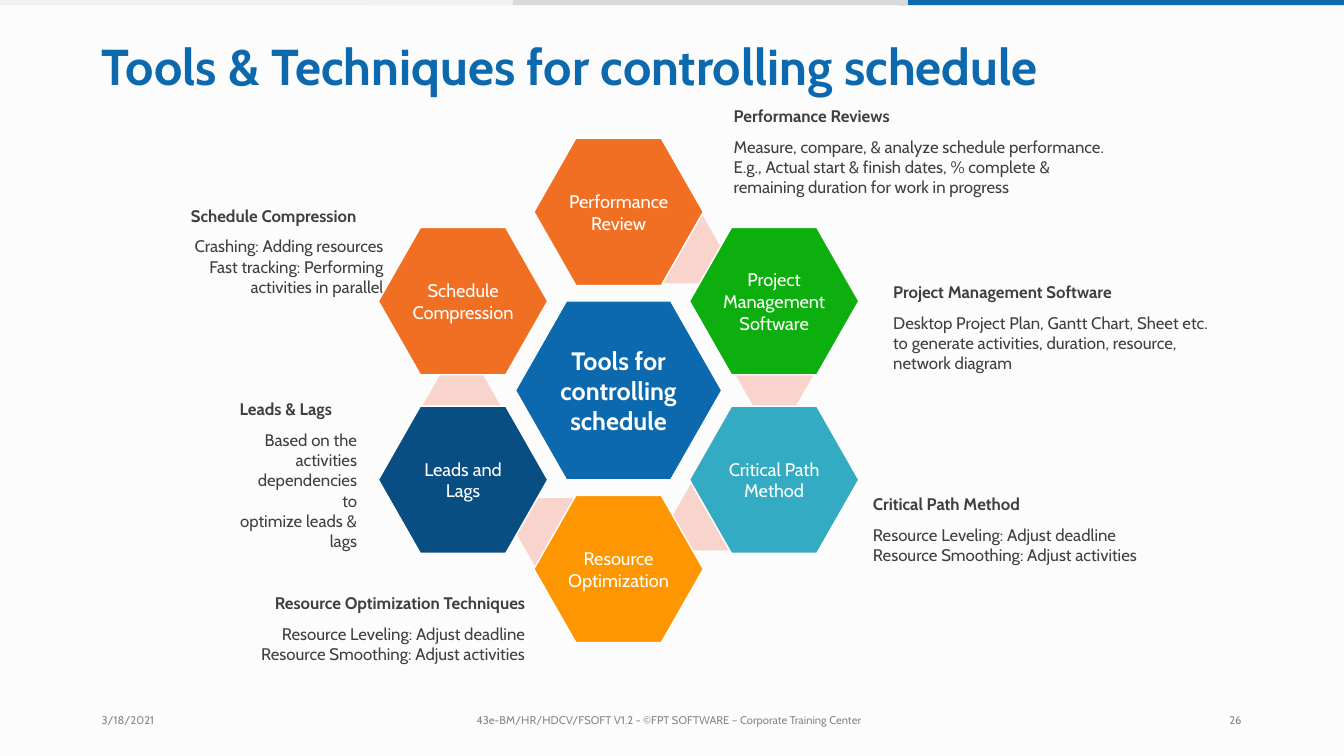
"""Build the slide on tools and techniques for controlling a schedule."""
from pptx import Presentation
from pptx.dml.color import RGBColor
from pptx.enum.shapes import MSO_SHAPE
from pptx.enum.text import MSO_ANCHOR, PP_ALIGN
from pptx.util import Cm, Pt

FONT = "Cabin"
COLORS = {
    "page": "FCFCFC", "blue": "0D69AE", "gray": "D9D9D9", "light": "F1F1F1",
    "white": "FFFFFF", "text": "404040", "footer": "888888", "pink": "F9D4CC",
    "orange": "F16F22", "green": "0DAF0E", "teal": "33ABC3",
    "amber": "FD9600", "navy": "094E83",
}
LEFT, RIGHT, CENTER = PP_ALIGN.LEFT, PP_ALIGN.RIGHT, PP_ALIGN.CENTER

TITLE = "Tools & Techniques for controlling schedule"
STRIPS = [("blue", 22.65, 11.22), ("gray", 9.25, 13.63), ("light", 0, 12.93)]

HUB = (15.59, 9.84)
HUB_SIZE, TOOL_SIZE, LINK_SIZE = (5.2, 4.51), (4.27, 3.71), (1.96, 1.7)
COLUMN_STEP, ROW_STEP = 3.92, 2.25
HUB_LABEL = "Tools for\vcontrolling\vschedule"

# label, colour, column and row step from the hub, centre of the link
TOOLS = [
    ("Performance\vReview", "orange", 0, -2, (17.22, 6.29)),
    ("Project\vManagement\vSoftware", "green", 1, -1, (19.52, 9.45)),
    ("Critical Path\vMethod", "teal", 1, 1, (17.92, 13.02)),
    ("Resource\vOptimization", "amber", 0, 2, (13.97, 13.4)),
    ("Leads and\vLags", "navy", -1, 1, (11.63, 10.22)),
    ("Schedule\vCompression", "orange", -1, -1, None),
]

# left, top, width, height, heading alignment, body alignment, heading, body
NOTES = [
    (18.49, 2.67, 9.6, 2.33, LEFT, LEFT, "Performance Reviews",
     ["Measure, compare, & analyze schedule performance. E.g., Actual start & "
      "finish dates, % complete & remaining duration for work in progress"]),
    (22.51, 7.11, 8.4, 2.31, LEFT, LEFT, "Project Management Software",
     ["Desktop Project Plan, Gantt Chart, Sheet etc. to generate activities, "
      "duration, resource, network diagram"]),
    (6.22, 14.94, 7.02, 1.8, RIGHT, RIGHT, "Resource Optimization Techniques",
     ["Resource Leveling: Adjust deadline",
      "Resource Smoothing: Adjust activities"]),
    (6.04, 10.06, 2.96, 3.8, LEFT, RIGHT, "Leads & Lags",
     ["Based on the\vactivities\vdependencies\vto",
      "optimize leads &\vlags"]),
    (22, 12.45, 7.04, 1.8, LEFT, LEFT, "Critical Path Method",
     ["Resource Leveling: Adjust deadline",
      "Resource Smoothing: Adjust activities"]),
    (4.81, 5.18, 4.86, 2.31, LEFT, RIGHT, "Schedule Compression",
     ["Crashing: Adding resources",
      "Fast tracking: Performing\vactivities in parallel"]),
]

FOOTERS = [
    (2.56, 1.8, "3/18/2021"),
    (12.01, 10.2, "43e-BM/HR/HDCV/FSOFT V1.2 - ©FPT SOFTWARE – "
                  "Corporate Training Center"),
    (30.98, 0.8, "26"),
]


def rgb(name):
    return RGBColor.from_string(COLORS[name])


def set_font(p, size, color, bold=False, align=LEFT):
    p.alignment = align
    p.font.name, p.font.size, p.font.bold = FONT, Pt(size), bold
    p.font.color.rgb = rgb(color)


def clear_margins(tf):
    tf.margin_left = tf.margin_top = tf.margin_right = tf.margin_bottom = 0


def add_text(s, left, top, width, height, text, size, color, **style):
    tf = s.shapes.add_textbox(Cm(left), Cm(top), Cm(width), Cm(height)).text_frame
    tf.word_wrap = True
    clear_margins(tf)
    tf.text = text
    set_font(tf.paragraphs[0], size, color, **style)
    return tf


def add_filled(s, kind, left, top, width, height, color):
    sp = s.shapes.add_shape(kind, Cm(left), Cm(top), Cm(width), Cm(height))
    sp.shadow.inherit = False
    sp.fill.solid()
    sp.fill.fore_color.rgb = rgb(color)
    sp.line.fill.background()
    return sp


def add_hexagon(s, center, size, color, label="", points=13, bold=False):
    (x, y), (w, h) = center, size
    sp = add_filled(s, MSO_SHAPE.HEXAGON, x - w / 2, y - h / 2, w, h, color)
    sp.adjustments[0] = 0.285
    if label:
        sp.line.color.rgb = rgb("white")
        sp.line.width = Pt(1)
        tf = sp.text_frame
        clear_margins(tf)
        tf.word_wrap = False
        tf.vertical_anchor = MSO_ANCHOR.MIDDLE
        tf.text = label
        set_font(tf.paragraphs[0], points, "white", bold, CENTER)


def add_note(s, left, top, width, height, head_align, body_align, heading, body):
    tf = add_text(s, left, top, width, height, heading, 12, "text",
                  bold=True, align=head_align)
    for i, line in enumerate(body):
        p = tf.add_paragraph()
        p.text = line
        p.space_before = Pt(0 if i else 7.5)
        set_font(p, 12, "text", align=body_align)


def main():
    prs = Presentation()
    prs.slide_width, prs.slide_height = Cm(33.87), Cm(19.05)
    s = prs.slides.add_slide(prs.slide_layouts[6])
    s.background.fill.solid()
    s.background.fill.fore_color.rgb = rgb("page")

    for color, left, width in STRIPS:
        add_filled(s, MSO_SHAPE.RECTANGLE, left, 0, width, 0.13, color)
    add_text(s, 2.56, 0.89, 26.2, 1.6, TITLE, 36, "blue", bold=True)
    for note in NOTES:
        add_note(s, *note)

    add_hexagon(s, HUB, HUB_SIZE, "blue", HUB_LABEL, 18, True)
    for label, color, column, row, link in TOOLS:
        if link:
            add_hexagon(s, link, LINK_SIZE, "pink")
        center = (HUB[0] + column * COLUMN_STEP, HUB[1] + row * ROW_STEP)
        add_hexagon(s, center, TOOL_SIZE, color, label)

    for left, width, text in FOOTERS:
        add_text(s, left, 17.98, width, 0.43, text, 8, "footer")
    prs.save("out.pptx")


if __name__ == "__main__":
    main()
